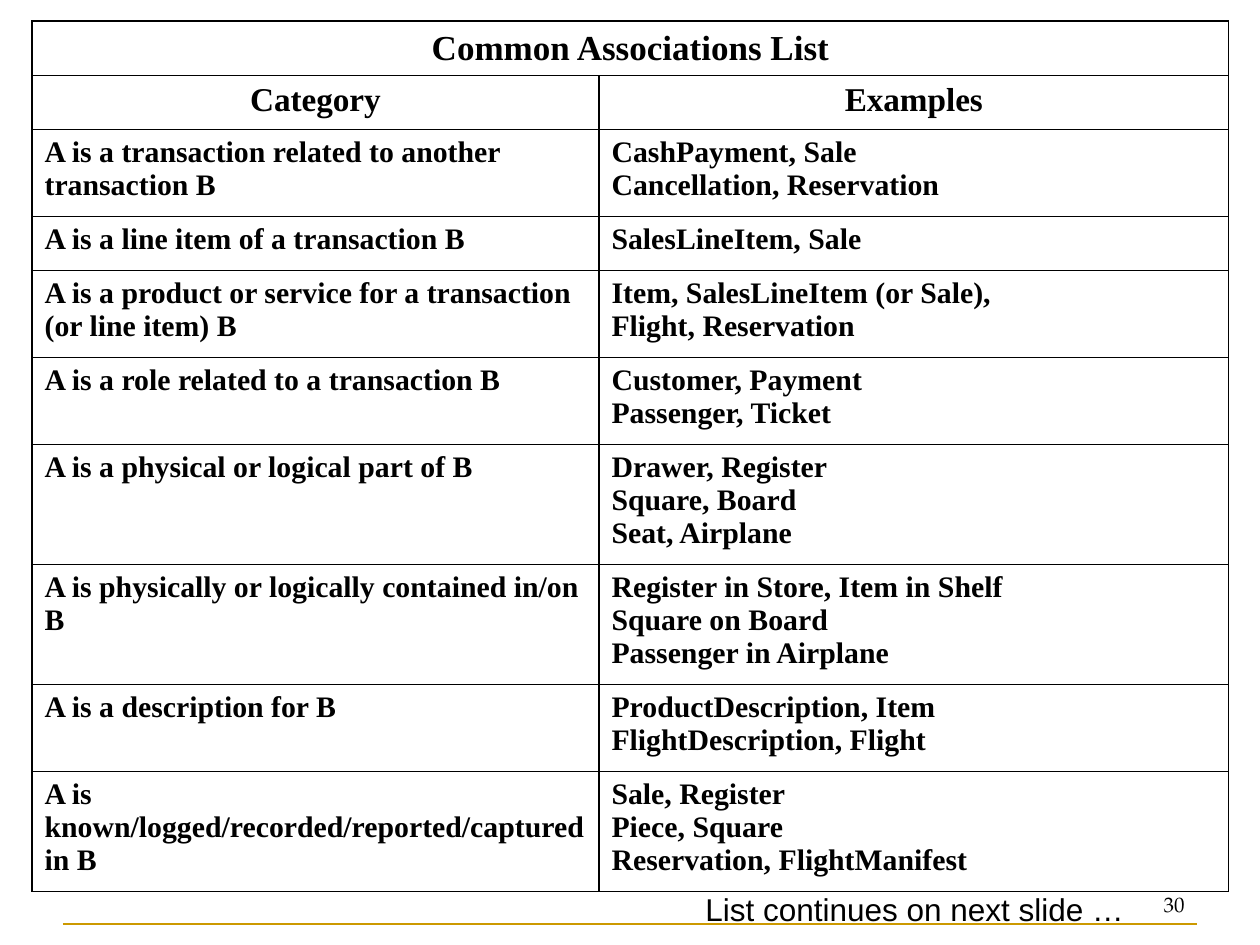
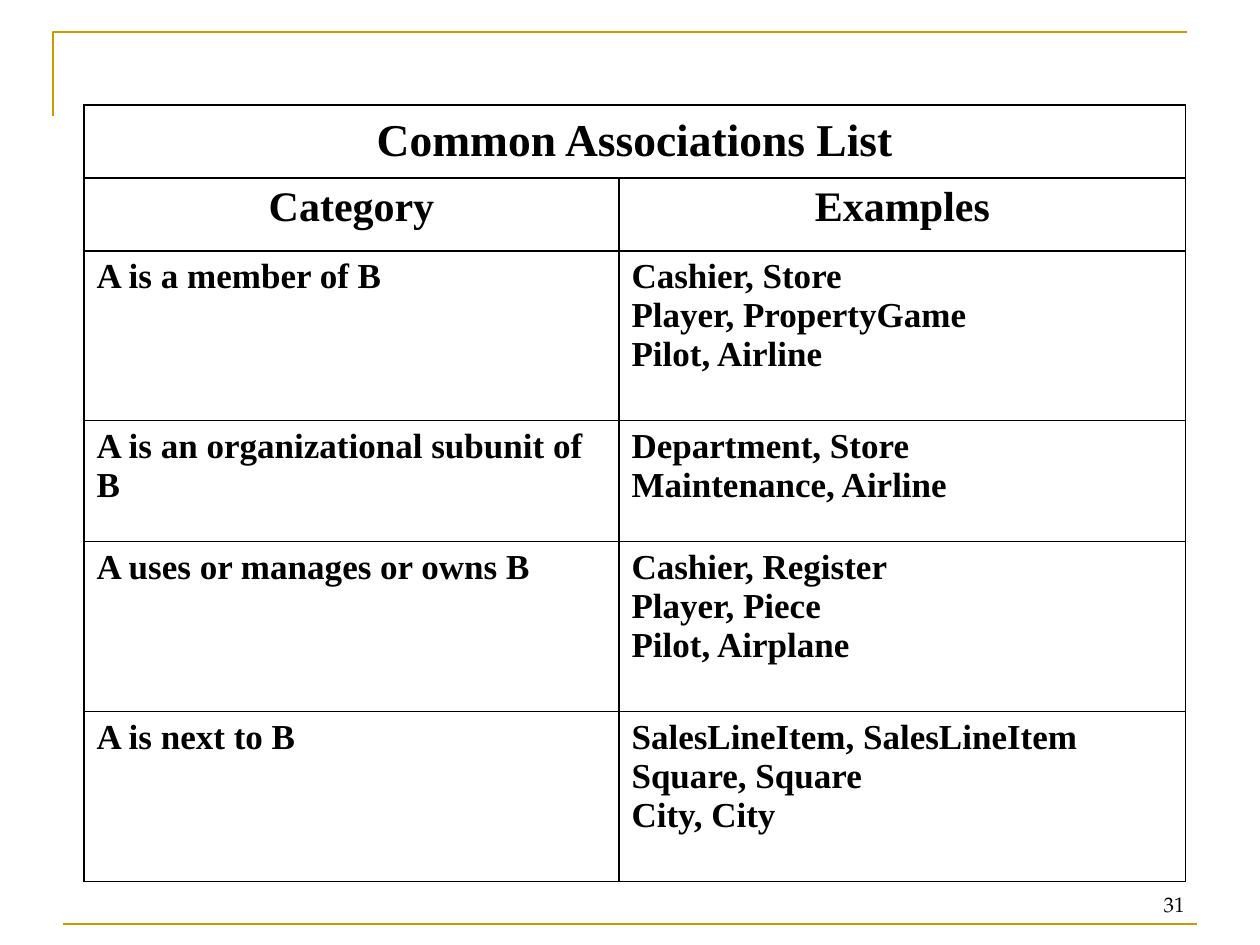
from pptx import Presentation
from pptx.dml.color import RGBColor
from pptx.enum.shapes import MSO_CONNECTOR as Connector
from pptx.enum.text import MSO_ANCHOR as Anchor, PP_ALIGN as Align
from pptx.oxml import parse_xml
from pptx.oxml.ns import nsdecls
from pptx.util import Pt

# Content; row heights are keyed by the number of lines in the row
TITLE = "Common Associations List"
HEADINGS = ("Category", "Examples")
SLIDES = [
    {
        "number": "30",
        "corner": False,
        "caption": "List continues on next slide …",
        "origin": (32, 21), "columns": (567, 630),
        "heights": {1: 54, 2: 87, 3: 120},
        "sizes": {"title": 20, "heading": 19, "body": 17},
        "rows": [
            ("A is a transaction related to another transaction B",
             ["CashPayment, Sale", "Cancellation, Reservation"]),
            ("A is a line item of a transaction B",
             ["SalesLineItem, Sale"]),
            ("A is a product or service for a transaction (or line item) B",
             ["Item, SalesLineItem (or Sale),", "Flight, Reservation"]),
            ("A is a role related to a transaction B",
             ["Customer, Payment", "Passenger, Ticket"]),
            ("A is a physical or logical part of B",
             ["Drawer, Register", "Square, Board", "Seat, Airplane"]),
            ("A is physically or logically contained in/on B",
             ["Register in Store, Item in Shelf", "Square on Board", "Passenger in Airplane"]),
            ("A is a description for B",
             ["ProductDescription, Item", "FlightDescription, Flight"]),
            ("A is known/logged/recorded/reported/captured in B",
             ["Sale, Register", "Piece, Square", "Reservation, FlightManifest"]),
        ],
    },
    {
        "number": "31",
        "corner": True,
        "caption": None,
        "origin": (84, 105), "columns": (535, 567),
        "heights": {1: 73, 2: 121, 3: 170},
        "sizes": {"title": 26, "heading": 24, "body": 20},
        "rows": [
            ("A is a member of B",
             ["Cashier, Store", "Player, PropertyGame", "Pilot, Airline"]),
            ("A is an organizational subunit of B",
             ["Department, Store", "Maintenance, Airline"]),
            ("A uses or manages or owns B",
             ["Cashier, Register", "Player, Piece", "Pilot, Airplane"]),
            ("A is next to B",
             ["SalesLineItem, SalesLineItem", "Square, Square", "City, City"]),
        ],
    },
]

# Shared look
PIXEL = 914400 // 126
GOLD = RGBColor(0xCC, 0x99, 0x00)
BLACK = RGBColor(0, 0, 0)
WHITE = RGBColor(0xFF, 0xFF, 0xFF)
TABLE_FONT, CAPTION_FONT, NUMBER_FONT = "Times New Roman", "Arial", "TeX Gyre Pagella"
RULE_WIDTH = Pt(1.5)
BORDER_WIDTH = Pt(0.75)


def px(*lengths):
    return [length * PIXEL for length in lengths]


def write(frame, lines, font, size, align=Align.LEFT, bold=False):
    for index, line in enumerate(lines):
        para = frame.paragraphs[0] if index == 0 else frame.add_paragraph()
        para.alignment = align
        span = para.add_run()
        span.text = line
        span.font.name, span.font.size, span.font.bold = font, Pt(size), bold
        span.font.color.rgb = BLACK


def add_corner(page):
    builder = page.shapes.build_freeform(53, 116, scale=PIXEL)
    builder.add_line_segments([(53, 32), (1187, 32)], close=False)
    corner = builder.convert_to_shape()
    corner.shadow.inherit = False
    corner.fill.background()
    corner.line.color.rgb = GOLD
    corner.line.width = RULE_WIDTH


def add_footer(page, number):
    rule = page.shapes.add_connector(Connector.STRAIGHT, *px(63, 924, 1197, 924))
    rule.line.color.rgb = GOLD
    rule.line.width = RULE_WIDTH
    rule._element.spPr.append(parse_xml(f"<a:effectLst {nsdecls('a')}/>"))
    box = page.shapes.add_textbox(*px(903, 860, 294, 63))
    box.text_frame.word_wrap = True
    box.text_frame.vertical_anchor = Anchor.BOTTOM
    write(box.text_frame, [number], NUMBER_FONT, 12, Align.RIGHT)


def add_caption(page, caption):
    # Wide enough to keep the whole caption on one line
    box = page.shapes.add_textbox(*px(693, 884, 465, 50))
    box.text_frame.word_wrap = True
    write(box.text_frame, [caption], CAPTION_FONT, 18)


def outline(cell):
    properties = cell._tc.get_or_add_tcPr()
    for side in ("lnL", "lnR", "lnT", "lnB"):
        properties.append(parse_xml(
            f'<a:{side} {nsdecls("a")} w="{BORDER_WIDTH}"><a:solidFill>'
            f'<a:srgbClr val="{BLACK}"/></a:solidFill></a:{side}>'))


def add_associations(page, content):
    # Every row holds a list of lines per cell; the longest list sets its height
    grid = [("title", ([TITLE], [])),
            ("heading", [[heading] for heading in HEADINGS])]
    grid += [("body", ([category], examples)) for category, examples in content["rows"]]
    heights = [content["heights"][max(map(len, cells))] for role, cells in grid]
    columns = content["columns"]
    frame = page.shapes.add_table(len(grid), len(columns),
                                  *px(*content["origin"], sum(columns), sum(heights)))
    table = frame.table
    table.first_row = table.horz_banding = False
    for column, width in zip(table.columns, px(*columns)):
        column.width = width
    for row, height, (role, cells) in zip(table.rows, px(*heights), grid):
        row.height = height
        for cell, lines in zip(row.cells, cells):
            outline(cell)
            if role == "body":
                cell.fill.background()
            else:
                cell.fill.solid()
                cell.fill.fore_color.rgb = WHITE
            align = Align.LEFT if role == "body" else Align.CENTER
            write(cell.text_frame, lines, TABLE_FONT, content["sizes"][role], align, bold=True)
    title = table.cell(0, 0)
    title.merge(table.cell(0, 1))
    title.vertical_anchor = Anchor.MIDDLE


# Build the deck
deck = Presentation()
deck.slide_width, deck.slide_height = px(1260, 945)
for content in SLIDES:
    page = deck.slides.add_slide(deck.slide_layouts[6])
    if content["corner"]:
        add_corner(page)
    add_footer(page, content["number"])
    add_associations(page, content)
    if content["caption"]:
        add_caption(page, content["caption"])
deck.save("out.pptx")
